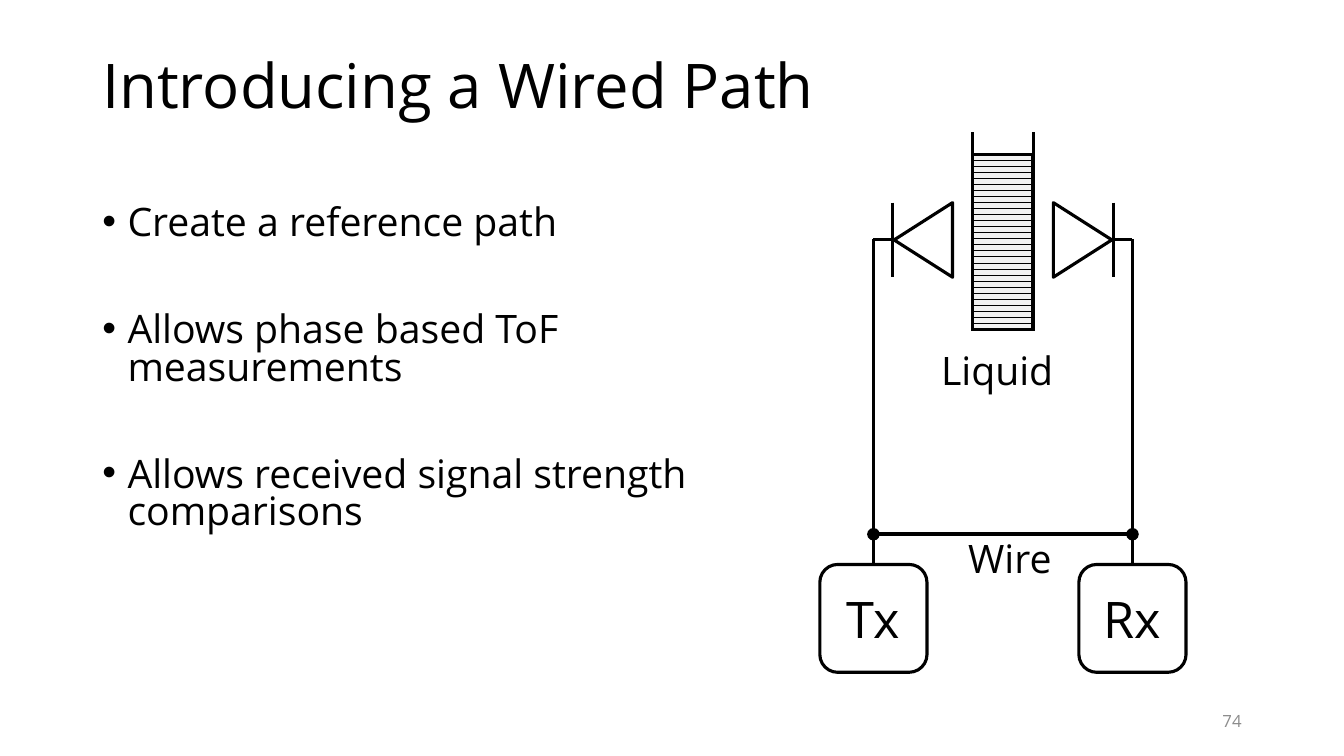
from pptx import Presentation
from pptx.dml.color import RGBColor
from pptx.enum.dml import MSO_PATTERN
from pptx.enum.shapes import MSO_CONNECTOR, MSO_SHAPE
from pptx.enum.text import MSO_ANCHOR, PP_ALIGN
from pptx.oxml.ns import qn
from pptx.util import Inches, Pt
from lxml import etree

BOX, CARD, CONE = MSO_SHAPE.RECTANGLE, MSO_SHAPE.ROUNDED_RECTANGLE, MSO_SHAPE.ISOSCELES_TRIANGLE
LINE = MSO_CONNECTOR.STRAIGHT
DASH = MSO_PATTERN.DASHED_HORIZONTAL
TOP, MIDDLE = MSO_ANCHOR.TOP, MSO_ANCHOR.MIDDLE
LEFT, CENTER, RIGHT = PP_ALIGN.LEFT, PP_ALIGN.CENTER, PP_ALIGN.RIGHT
WIDE, HIGH = Inches(13.33), Inches(7.5)
COLS, ROWS = 160, 90


class Theme:
    face = "Open Sans"
    ink = RGBColor(0, 0, 0)
    pale = RGBColor(0xF2, 0xF2, 0xF2)
    gray = RGBColor(0x8C, 0x8C, 0x8C)
    title, node, body, note = 44, 36, 28, 12
    thin, line, thick = 2, 2.25, 3


def apply(item, form):
    for key, value in form.items():
        setattr(item, key, value)


class Board:
    """Draws on one slide; lengths are columns and rows of the grid."""

    def __init__(self, slide, theme):
        self.shapes, self.theme = slide.shapes, theme

    def place(self, x, y, w, h):
        return [round(x * WIDE / COLS), round(y * HIGH / ROWS),
                round(w * WIDE / COLS), round(h * HIGH / ROWS)]

    def label(self, shape, texts, size, align=LEFT, anchor=TOP, color=None,
              bullet=False, **space):
        frame = shape.text_frame
        apply(frame, {"word_wrap": True, "vertical_anchor": anchor})
        for n, text in enumerate(texts):
            para = frame.paragraphs[0] if n == 0 else frame.add_paragraph()
            para.text = text
            if bullet:
                self.bullet(para)
            apply(para, {"alignment": align, **space})
            if n == 0:
                para.space_before = Pt(0)
            apply(para.runs[0].font, {"name": self.theme.face, "size": Pt(size)})
            para.runs[0].font.color.rgb = color or self.theme.ink

    def bullet(self, para):
        props = para._p.get_or_add_pPr()
        props.set("marL", str(Inches(0.25)))
        props.set("indent", str(-Inches(0.25)))
        etree.SubElement(props, qn("a:buFont")).set("typeface", "Arial")
        etree.SubElement(props, qn("a:buChar")).set("char", "•")

    def text(self, area, texts, size, **form):
        self.label(self.shapes.add_textbox(*self.place(*area)), texts, size, **form)

    def stroke(self, item, width):
        item.line.color.rgb = self.theme.ink
        item.line.width = Pt(width)

    def shape(self, kind, mid, y, w, h, turn=0, width=Theme.line):
        """Add an unfilled shape centred on column mid."""
        shape = self.shapes.add_shape(kind, *self.place(mid - w / 2, y, w, h))
        shape.rotation = turn
        shape.shadow.inherit = False
        shape.fill.background()
        self.stroke(shape, width)
        return shape

    def hatch(self, shape):
        shape.fill.patterned()
        shape.fill.pattern = DASH
        shape.fill.fore_color.rgb = self.theme.ink
        shape.fill.back_color.rgb = self.theme.pale

    def link(self, x1, y1, x2, y2, width=Theme.line, start=None, dots=False):
        """Add a line; start is a shape whose top it leaves from."""
        line = self.shapes.add_connector(LINE, *self.place(x1, y1, x2, y2))
        self.stroke(line, width)
        props = line._element.spPr
        if dots:
            for end in ("a:headEnd", "a:tailEnd"):
                etree.SubElement(props.find(qn("a:ln")), qn(end)).set("type", "oval")
        etree.SubElement(props, qn("a:effectLst"))
        if start is not None:
            line.begin_connect(start, 0)


def circuit(board, theme):
    mid, axis = 119.4, 28.56
    lead, bar, cone, wall = 15.42, 13.14, 9.48, 3.6
    liquid = board.shape(BOX, mid, 18.36, 7.1, 20.88, width=theme.thin)
    board.hatch(liquid)
    for side, name in ((-1, "Tx"), (1, "Rx")):
        post = mid + side * lead
        plate = mid + side * bar
        edge = mid + side * wall
        board.shape(CONE, mid + side * cone, axis - 3.48, 8.88, 6.96, turn=side * 90 % 360)
        board.link(plate, axis - 4.44, plate, axis + 4.44)
        board.link(plate, axis, post, axis)
        node = board.shape(CARD, post, 67.2, 12.76, 12.84)
        board.label(node, [name], theme.node, align=CENTER, anchor=MIDDLE)
        board.link(post, 67.2, post, axis - 0.12, start=node)
        board.link(edge, 39.36, edge, 15.72)
    board.link(mid - lead, 63.6, mid + lead, 63.6, width=theme.thick, dots=True)
    for name, left, top in (("Liquid", 109, 40.68), ("Wire", 110.5, 63)):
        board.text((left, top, 19.44, 8.4), [name], theme.body, align=CENTER)


def main():
    deck = Presentation()
    apply(deck, {"slide_width": WIDE, "slide_height": HIGH})
    theme = Theme()
    board = Board(deck.slides.add_slide(deck.slide_layouts[6]), theme)
    board.text((11, 1.8, 138, 17.4), ["Introducing a Wired Path"], theme.title,
               anchor=MIDDLE, line_spacing=0.9)
    points = ["Create a reference path", "Allows phase based ToF measurements",
              "Allows received signal strength comparisons"]
    board.text((11, 24, 81.36, 57.12), points, theme.body, bullet=True,
               line_spacing=0.8, space_before=Pt(49.5))
    board.text((113, 83.4, 36, 4.8), ["74"], theme.note, align=RIGHT,
               anchor=MIDDLE, color=theme.gray)
    circuit(board, theme)
    deck.save("out.pptx")


if __name__ == "__main__":
    main()
